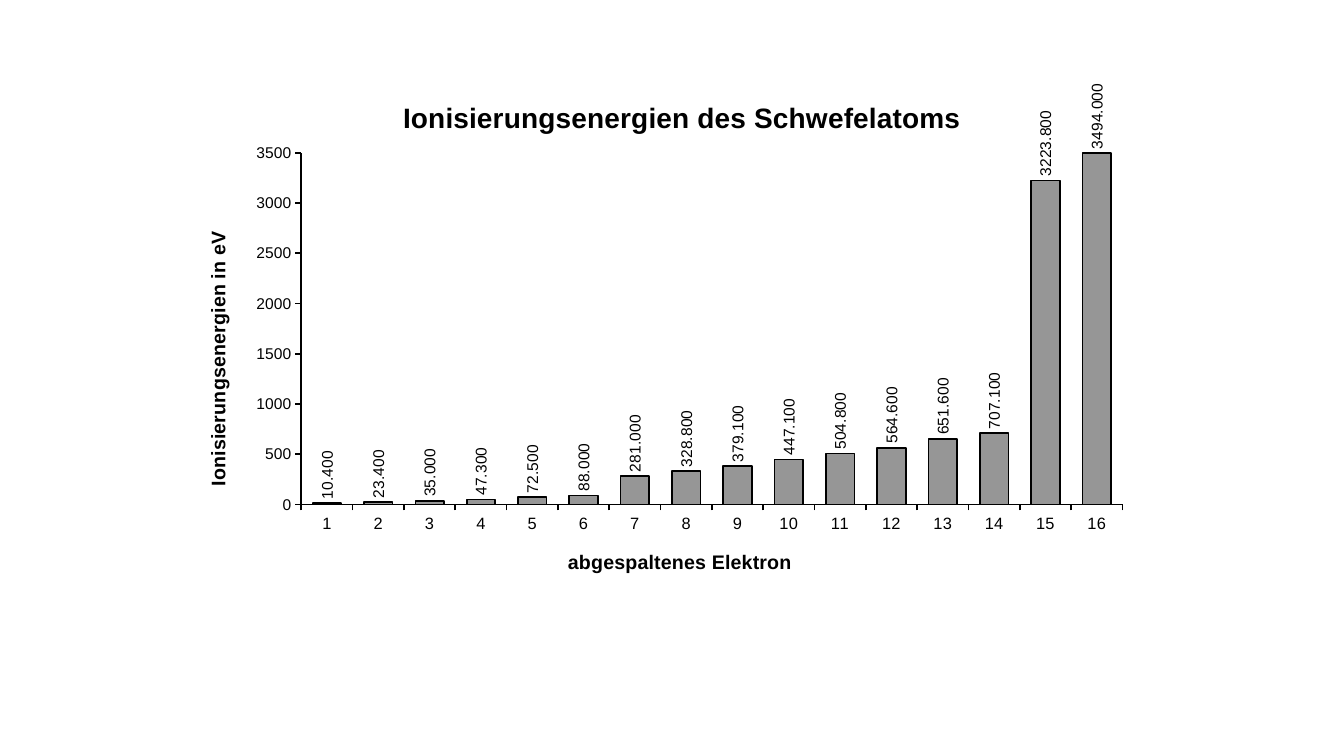
from lxml import etree
from pptx import Presentation
from pptx.chart.data import CategoryChartData
from pptx.dml.color import RGBColor
from pptx.enum.chart import XL_CHART_TYPE, XL_LABEL_POSITION, XL_TICK_LABEL_POSITION, XL_TICK_MARK
from pptx.oxml.ns import qn
from pptx.util import Inches, Pt

COLUMN = XL_CHART_TYPE.COLUMN_CLUSTERED
OUTSIDE_END = XL_LABEL_POSITION.OUTSIDE_END
TICK_OUT, TICK_NONE = XL_TICK_MARK.OUTSIDE, XL_TICK_MARK.NONE
NEXT_TO_AXIS = XL_TICK_LABEL_POSITION.NEXT_TO_AXIS
BLACK = RGBColor(0x00, 0x00, 0x00)
GRAY = RGBColor(0x96, 0x96, 0x96)
FONT = "Arial"
LINE_WIDTH = Pt(1.23)
UPWARD = "-5400000"

TITLE = "Ionisierungsenergien des Schwefelatoms"
X_TITLE = "abgespaltenes Elektron"
Y_TITLE = "Ionisierungsenergien in eV"
ENERGIES = [10.4, 23.4, 35, 47.3, 72.5, 88, 281, 328.8,
            379.1, 447.1, 504.8, 564.6, 651.6, 707.1, 3223.8, 3494]
CHART_BOX = (1.03, 0.65, 10.31, 5.73)
PLOT_LAYOUT = {"x": 0.19, "y": 0.151, "w": 0.79, "h": 0.609}


def style_font(font, size, bold=False):
    font.name = FONT
    font.size = Pt(size)
    font.bold = bold
    font.color.rgb = BLACK


def style_line(line):
    line.color.rgb = BLACK
    line.width = LINE_WIDTH


def place(element, index, fractions, inner=False):
    layout = element.find(qn("c:layout"))
    if layout is None:
        layout = etree.Element(qn("c:layout"))
        element.insert(index, layout)
    manual = etree.SubElement(layout, qn("c:manualLayout"))
    settings = {"layoutTarget": "inner"} if inner else {}
    settings.update(xMode="edge", yMode="edge", **fractions)
    for name, value in settings.items():
        etree.SubElement(manual, qn("c:" + name)).set("val", str(value))


def rotate(element):
    for body in element.iter(qn("a:bodyPr")):
        body.set("rot", UPWARD)
        body.set("vert", "horz")


def add_title(title, text, size, x, y):
    p = title.text_frame.paragraphs[0]
    r = p.add_run()
    r.text = text
    style_font(r.font, size, True)
    place(title._element, 1, {"x": x, "y": y})


prs = Presentation()
prs.slide_width, prs.slide_height = Inches(13.33), Inches(7.5)
s = prs.slides.add_slide(prs.slide_layouts[6])

data = CategoryChartData()
data.categories = [str(n) for n in range(1, len(ENERGIES) + 1)]
data.add_series("Series 1", ENERGIES)
chart = s.shapes.add_chart(COLUMN, *map(Inches, CHART_BOX), data).chart
style_font(chart.font, 11.7)
chart.has_legend = False
chart.has_title = True
add_title(chart.chart_title, TITLE, 20, 0.283, 0.05)
place(chart._chartSpace.chart.plotArea, 0, PLOT_LAYOUT, inner=True)

x_axis, y_axis = chart.category_axis, chart.value_axis
for axis, text, size, x, y in [(x_axis, X_TITLE, 11.7, 0.443, 0.832),
                               (y_axis, Y_TITLE, 11.1, 0.094, 0.281)]:
    axis.has_major_gridlines = False
    axis.major_tick_mark = TICK_OUT
    axis.minor_tick_mark = TICK_NONE
    axis.tick_label_position = NEXT_TO_AXIS
    style_font(axis.tick_labels.font, size)
    style_line(axis.format.line)
    add_title(axis.axis_title, text, 14, x, y)
rotate(y_axis.axis_title._element)
y_axis.minimum_scale, y_axis.maximum_scale, y_axis.major_unit = 0, 3500, 500

plot = chart.plots[0]
plot.gap_width = 80
plot.vary_by_categories = False
series = plot.series[0]
series.format.fill.solid()
series.format.fill.fore_color.rgb = GRAY
style_line(series.format.line)

labels = series.data_labels
labels.show_value = True
labels.position = OUTSIDE_END
labels.number_format = "0.000"
labels.number_format_is_linked = False
style_font(labels.font, 11.1)
rotate(labels._element)

prs.save("out.pptx")
